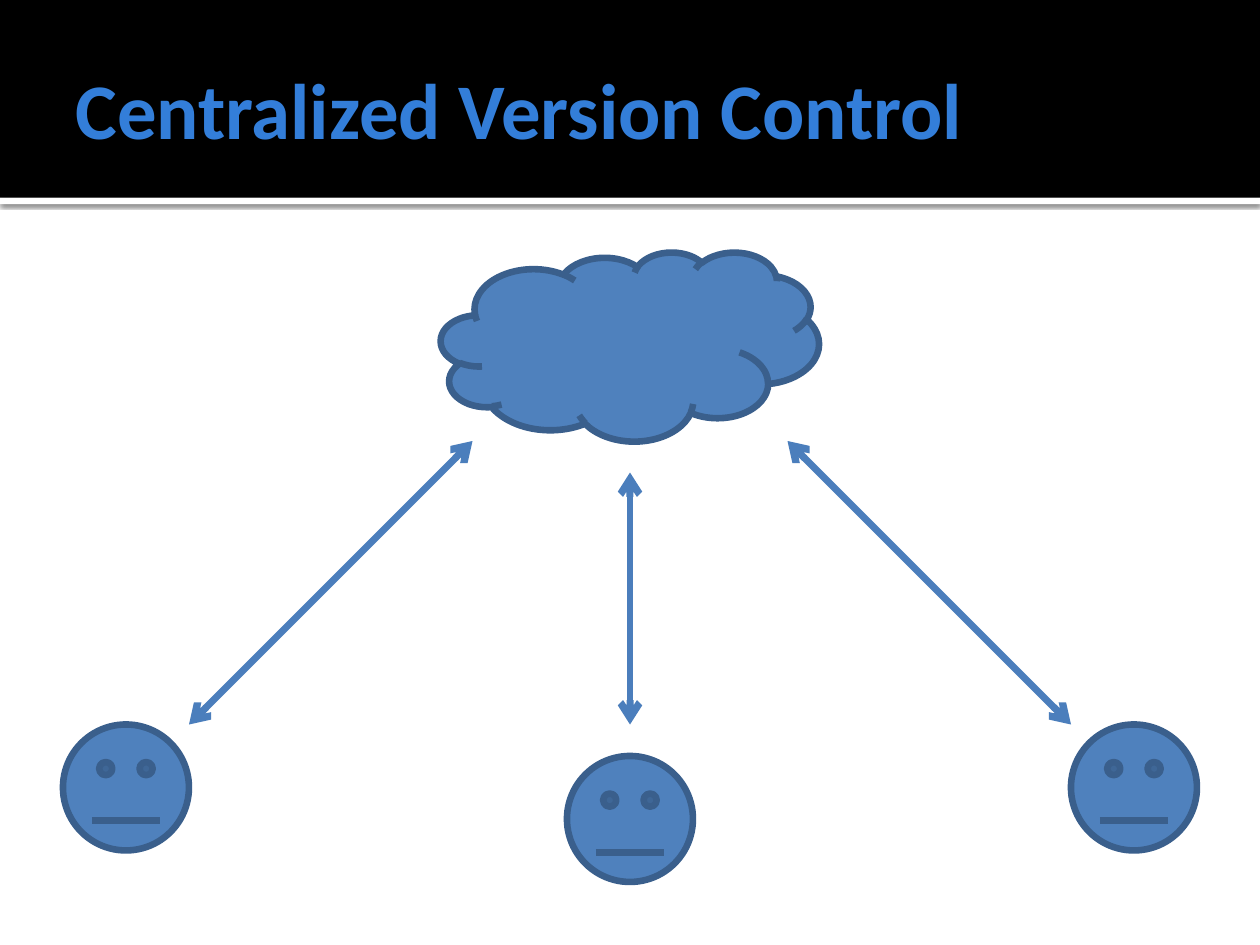
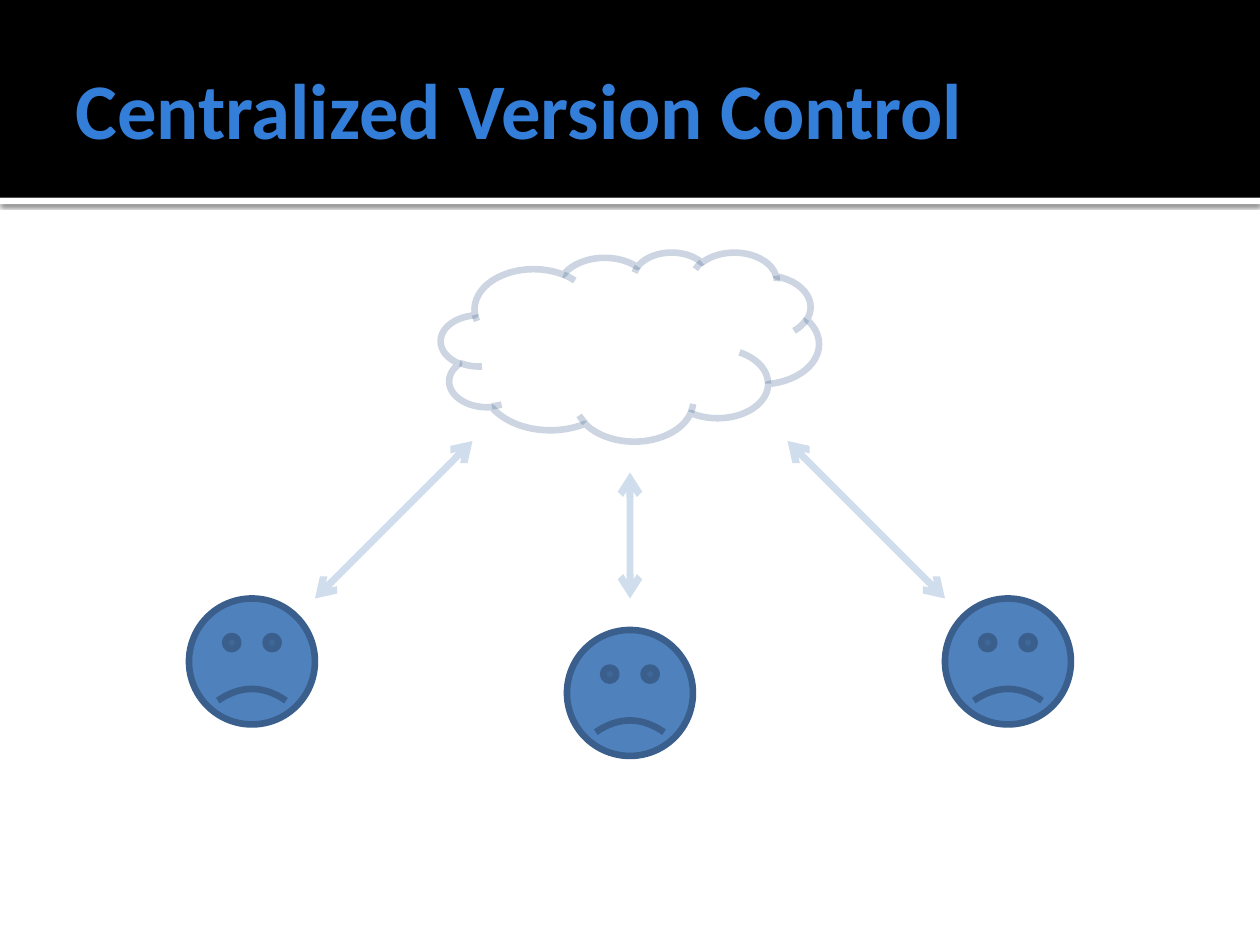
from pptx import Presentation
from pptx.dml.color import RGBColor
from pptx.enum.shapes import MSO_CONNECTOR, MSO_SHAPE
from pptx.enum.text import MSO_ANCHOR
from pptx.oxml.ns import qn
from pptx.util import Inches, Pt
from lxml import etree

RECTANGLE = MSO_SHAPE.RECTANGLE
CLOUD = MSO_SHAPE.CLOUD
SMILEY = MSO_SHAPE.SMILEY_FACE
STRAIGHT = MSO_CONNECTOR.STRAIGHT
MIDDLE = MSO_ANCHOR.MIDDLE

BLACK = RGBColor(0x00, 0x00, 0x00)
WHITE = RGBColor(0xFF, 0xFF, 0xFF)
TITLE_BLUE = RGBColor(0x33, 0x7E, 0xD9)
SHAPE_BLUE = RGBColor(0x4F, 0x81, 0xBD)
OUTLINE_BLUE = RGBColor(0x3A, 0x5F, 0x8C)
ARROW_BLUE = RGBColor(0x4B, 0x7E, 0xBC)

FONT = "Calibri"
OUTLINE_WIDTH = 3.78
ARROW_WIDTH = 4
FACE_SIZE = 1
CENTER = 5
BAND_HEIGHT = 1.57
NEUTRAL_MOUTH = 0
SAD_MOUTH = -0.0465
FADED = 25


def set_alpha(color_element, percent):
    etree.SubElement(color_element, qn("a:alpha"), val=str(percent * 1000))


def style_line(line, color, width, opacity=100):
    line.color.rgb = color
    line.width = Pt(width)
    if opacity < 100:
        set_alpha(line._ln.find(".//" + qn("a:srgbClr")), opacity)


def add_shape(slide, kind, left, top, width, height, fill=None, outline=None, opacity=100):
    shape = slide.shapes.add_shape(
        kind, Inches(left), Inches(top), Inches(width), Inches(height))
    shape.shadow.inherit = False
    if fill is None:
        shape.fill.background()
    else:
        shape.fill.solid()
        shape.fill.fore_color.rgb = fill
    if outline is None:
        shape.line.fill.background()
    else:
        style_line(shape.line, outline, OUTLINE_WIDTH, opacity)
    return shape


def add_shadow(shape, blur, distance, opacity):
    effects = shape._element.spPr.find(qn("a:effectLst"))
    shadow = etree.SubElement(
        effects, qn("a:outerShdw"), blurRad=str(Pt(blur)), dist=str(Pt(distance)),
        dir=str(90 * 60000), algn="t", rotWithShape="0")
    set_alpha(etree.SubElement(shadow, qn("a:srgbClr"), val=str(BLACK)), opacity)


def add_text(slide, text, left, top, width, height, *, size, color, bold=False):
    box = slide.shapes.add_textbox(
        Inches(left), Inches(top), Inches(width), Inches(height))
    frame = box.text_frame
    frame.word_wrap = True
    frame.vertical_anchor = MIDDLE
    frame.margin_left = Inches(0.1)
    frame.margin_right = frame.margin_top = frame.margin_bottom = Inches(0.05)
    run = frame.paragraphs[0].add_run()
    run.text = text
    run.font.name = FONT
    run.font.size = Pt(size)
    run.font.bold = bold
    run.font.color.rgb = color


def add_face(slide, left, top, mouth):
    face = add_shape(slide, SMILEY, left, top, FACE_SIZE, FACE_SIZE,
                     SHAPE_BLUE, OUTLINE_BLUE)
    face.adjustments[0] = mouth


def add_arrow(slide, start, end, opacity):
    arrow = slide.shapes.add_connector(
        STRAIGHT, *(Inches(value) for value in (*start, *end)))
    style_line(arrow.line, ARROW_BLUE, ARROW_WIDTH, opacity)
    for tag in ("a:headEnd", "a:tailEnd"):
        etree.SubElement(arrow.line._ln, qn(tag), type="arrow")
    etree.SubElement(arrow._element.spPr, qn("a:effectLst"))


def add_titled_slide(presentation, title):
    slide = presentation.slides.add_slide(presentation.slide_layouts[6])
    strip = add_shape(slide, RECTANGLE, 0, BAND_HEIGHT, 10, 0.05, WHITE)
    add_shadow(strip, blur=2.5, distance=0.8, opacity=60)
    add_shape(slide, RECTANGLE, 0, 0, 10, BAND_HEIGHT, BLACK)
    add_text(slide, title, 0.5, 0.17, 9, 1.37, size=45, color=TITLE_BLUE, bold=True)
    return slide


def add_network(slide, spread, top, mouth, cloud_fill, opacity):
    add_shape(slide, CLOUD, 3.5, 2, 3, 1.5, cloud_fill, OUTLINE_BLUE, opacity)
    for side in (-1, 0, 1):
        face_top = top if side else top + 0.25
        add_face(slide, CENTER + side * spread - FACE_SIZE / 2, face_top, mouth)
    for side in (-1, 1, 0):
        face_end = (CENTER + side * (spread - FACE_SIZE / 2), top)
        cloud_end = (CENTER + side * 1.25, 3.5 if side else 3.75)
        add_arrow(slide, face_end, cloud_end, opacity)


def main():
    presentation = Presentation()
    presentation.slide_width = Inches(10)
    presentation.slide_height = Inches(7.5)
    title = "Centralized Version Control"

    connected = add_titled_slide(presentation, title)
    add_network(connected, 4, 5.75, NEUTRAL_MOUTH, SHAPE_BLUE, 100)

    disconnected = add_titled_slide(presentation, title)
    add_network(disconnected, 3, 4.75, SAD_MOUTH, None, FADED)

    presentation.save("out.pptx")


if __name__ == "__main__":
    main()
